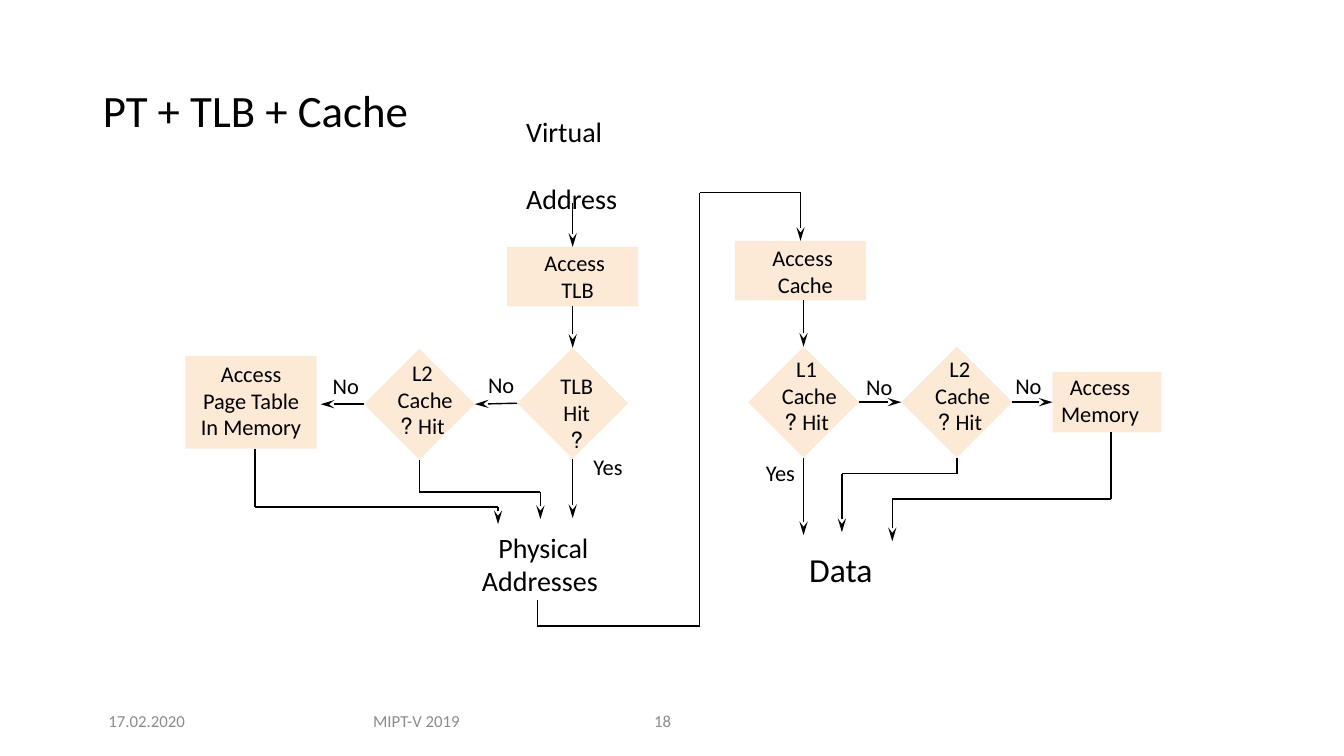
"""Build the address translation and cache lookup flowchart slide."""
from dataclasses import dataclass
from itertools import pairwise

from lxml import etree
from pptx import Presentation
from pptx import util as u
from pptx.dml.color import RGBColor
from pptx.enum import shapes, text
from pptx.oxml import ns

TOP, LEFT, BOTTOM, RIGHT = range(4)
RECT = shapes.MSO_SHAPE.RECTANGLE
DIAMOND = shapes.MSO_SHAPE.DIAMOND
CENTER = text.PP_ALIGN.CENTER
MIDDLE = text.MSO_ANCHOR.MIDDLE


@dataclass(frozen=True)
class Theme:
    font: str = "Calibri"
    ink: str = "000000"
    muted: str = "8C8C8C"
    fill: str = "FCE9D6"
    title: int = 32
    result: int = 24
    address: int = 20
    body: int = 16
    footer: int = 12
    line: int = 1


@dataclass(frozen=True)
class Step:
    key: str
    words: str
    at: tuple
    kind: int = RECT
    nudge: tuple = (0, 0)


@dataclass(frozen=True)
class Label:
    words: str
    at: tuple
    size: int
    color: str = "000000"
    align: int = CENTER
    anchor: int = text.MSO_ANCHOR.TOP
    rtl: bool = True
    wrap: bool = False
    gap: int = 0


@dataclass(frozen=True)
class Route:
    points: tuple
    start: tuple = ()
    end: tuple = ()
    arrow: bool = True


THEME = Theme()
DIAMOND_SIZE = (1.1, 1.1)
CACHE_NUDGE = (0.03, -0.07)

STEPS = (
    Step("tlb", "Access\nTLB ", (5.03, 2.45, 1.3, 0.59), RECT, (0.02, -0.01)),
    Step("page table", "Access\nPage Table\nIn Memory", (1.84, 3.53, 1.3, 0.92), RECT, (0, -0.02)),
    Step("tlb hit", "TLB\nHit\n?", (5.13, 3.45, *DIAMOND_SIZE), DIAMOND, (0.04, 0.09)),
    Step("tlb l2", "L2\nCache \nHit ?", (3.61, 3.46, *DIAMOND_SIZE), DIAMOND, (0.03, -0.05)),
    Step("cache", "Access\nCache ", (7.29, 2.39, 1.3, 0.59), RECT, (0.02, 0)),
    Step("l1", "L1\nCache \nHit ?", (7.42, 3.44, *DIAMOND_SIZE), DIAMOND, CACHE_NUDGE),
    Step("l2", "L2\nCache \nHit ?", (8.94, 3.44, *DIAMOND_SIZE), DIAMOND, CACHE_NUDGE),
    Step("memory", "Access\nMemory", (10.44, 3.69, 1.08, 0.6), RECT, (-0.07, -0.02)),
)

ANSWERS = tuple(
    Label(words, (left, top, 0.5, 0.37), THEME.body)
    for words, left, top in (
        ("Yes", 5.78, 4.45), ("No", 4.72, 3.63), ("No", 3.18, 3.64),
        ("Yes", 7.49, 4.51), ("No", 8.47, 3.65), ("No", 9.95, 3.64),
    )
)
ENDPOINTS = (
    Label("Virtual\nAddress", (5.12, 1.1, 1.16, 1.07), THEME.address,
          align=text.PP_ALIGN.LEFT, anchor=MIDDLE, rtl=False, wrap=True, gap=24),
    Label("Physical \nAddresses", (4.67, 5.21, 1.37, 0.77), THEME.address),
    Label("Data", (7.92, 5.4, 0.84, 0.51), THEME.result),
)
FOOTERS = tuple(
    Label(words, (left, 6.95, width, 0.4), THEME.footer, THEME.muted,
          align, MIDDLE, rtl=False, wrap=True)
    for words, left, width, align in (
        ("17.02.2020", 0.92, 1.07, CENTER),
        ("MIPT-V 2019", 3.34, 1.58, CENTER),
        ("18", 6.39, 0.79, text.PP_ALIGN.LEFT),
    )
)

ROUTES = (
    Route(((5.68, 2.01), (5.68, 2.45)), end=("tlb", TOP)),
    Route(((5.68, 3.04), (5.68, 3.45)), ("tlb", BOTTOM), ("tlb hit", TOP)),
    Route(((5.68, 4.55), (5.68, 5.14)), ("tlb hit", BOTTOM)),
    Route(((5.13, 4), (4.71, 4.01)), ("tlb hit", LEFT), ("tlb l2", RIGHT)),
    Route(((3.61, 4.01), (3.18, 4.01)), ("tlb l2", LEFT)),
    Route(((4.16, 4.56), (4.16, 4.88), (5.36, 4.88), (5.36, 5.15)), ("tlb l2", BOTTOM)),
    Route(((2.53, 4.45), (2.53, 5.03), (4.94, 5.03), (4.94, 5.2))),
    Route(((5.33, 5.95), (5.33, 6.21), (6.94, 6.21), (6.94, 1.91), (7.94, 1.91),
           (7.94, 2.39)), end=("cache", TOP)),
    Route(((7.97, 2.98), (7.97, 3.44)), end=("l1", TOP)),
    Route(((7.97, 4.54), (7.97, 5.31)), ("l1", BOTTOM)),
    Route(((8.52, 3.99), (8.94, 3.99)), ("l1", RIGHT), ("l2", LEFT)),
    Route(((10.04, 3.99), (10.44, 3.99)), ("l2", RIGHT), ("memory", LEFT)),
    Route(((9.49, 4.54), (9.49, 4.7), (8.35, 4.7), (8.35, 5.28)), ("l2", BOTTOM)),
    Route(((11.02, 4.29), (11.02, 4.95), (8.85, 4.95), (8.85, 5.37))),
)


def inches(values: tuple) -> list:
    return [u.Inches(value) for value in values]


def write(frame, words: str, size: int, color: str, align: int, rtl: bool = False) -> None:
    frame.text = words
    for para in frame.paragraphs:
        para.alignment = align
        if rtl:
            para._p.get_or_add_pPr().set("rtl", "1")
        for span in para.runs:
            span.font.name = THEME.font
            span.font.size = u.Pt(size)
            span.font.color.rgb = RGBColor.from_string(color)


def draw_step(page, step: Step):
    box = page.shapes.add_shape(step.kind, *inches(step.at))
    box.shadow.inherit = False
    box.fill.solid()
    box.fill.fore_color.rgb = RGBColor.from_string(THEME.fill)
    box.line.fill.background()
    frame = box.text_frame
    frame.word_wrap = False
    frame.vertical_anchor = MIDDLE
    across, down = step.nudge
    frame.margin_left, frame.margin_right = inches((0.1 + across, 0.1 - across))
    frame.margin_top, frame.margin_bottom = inches((0.1 + down, 0.1 - down))
    write(frame, step.words, THEME.body, THEME.ink, CENTER, rtl=True)
    return box


def draw_label(page, label: Label) -> None:
    frame = page.shapes.add_textbox(*inches(label.at)).text_frame
    frame.word_wrap = label.wrap
    frame.vertical_anchor = label.anchor
    write(frame, label.words, label.size, label.color, label.align, label.rtl)
    if label.gap:
        for para in frame.paragraphs[1:]:
            para.space_before = u.Pt(label.gap)


def draw_route(page, route: Route, boxes: dict) -> None:
    lines = []
    for begin, end in pairwise(route.points):
        line = page.shapes.add_connector(shapes.MSO_CONNECTOR.STRAIGHT, *inches(begin + end))
        line.line.width = u.Pt(THEME.line)
        line.line.color.rgb = RGBColor.from_string(THEME.ink)
        etree.SubElement(line._element.spPr, ns.qn("a:effectLst"))
        lines.append(line)
    if route.start:
        key, side = route.start
        lines[0].begin_connect(boxes[key], side)
    if route.end:
        key, side = route.end
        lines[-1].end_connect(boxes[key], side)
    if route.arrow:
        outline = lines[-1].line._get_or_add_ln()
        etree.SubElement(outline, ns.qn("a:tailEnd"), type="stealth", w="med", len="lg")


def main() -> None:
    deck = Presentation()
    deck.slide_width, deck.slide_height = inches((13.33, 7.5))
    page = deck.slides.add_slide(deck.slide_layouts[5])
    title = page.shapes.title
    title.left, title.top, title.width, title.height = inches((0.92, 0.4, 11.5, 1.45))
    title.text_frame.vertical_anchor = MIDDLE
    write(title.text_frame, "PT + TLB + Cache", THEME.title, THEME.ink, text.PP_ALIGN.LEFT)
    title.text_frame.paragraphs[0].line_spacing = 0.9
    boxes = {step.key: draw_step(page, step) for step in STEPS}
    for label in ANSWERS + ENDPOINTS + FOOTERS:
        draw_label(page, label)
    for route in ROUTES:
        draw_route(page, route, boxes)
    deck.save("out.pptx")


if __name__ == "__main__":
    main()
